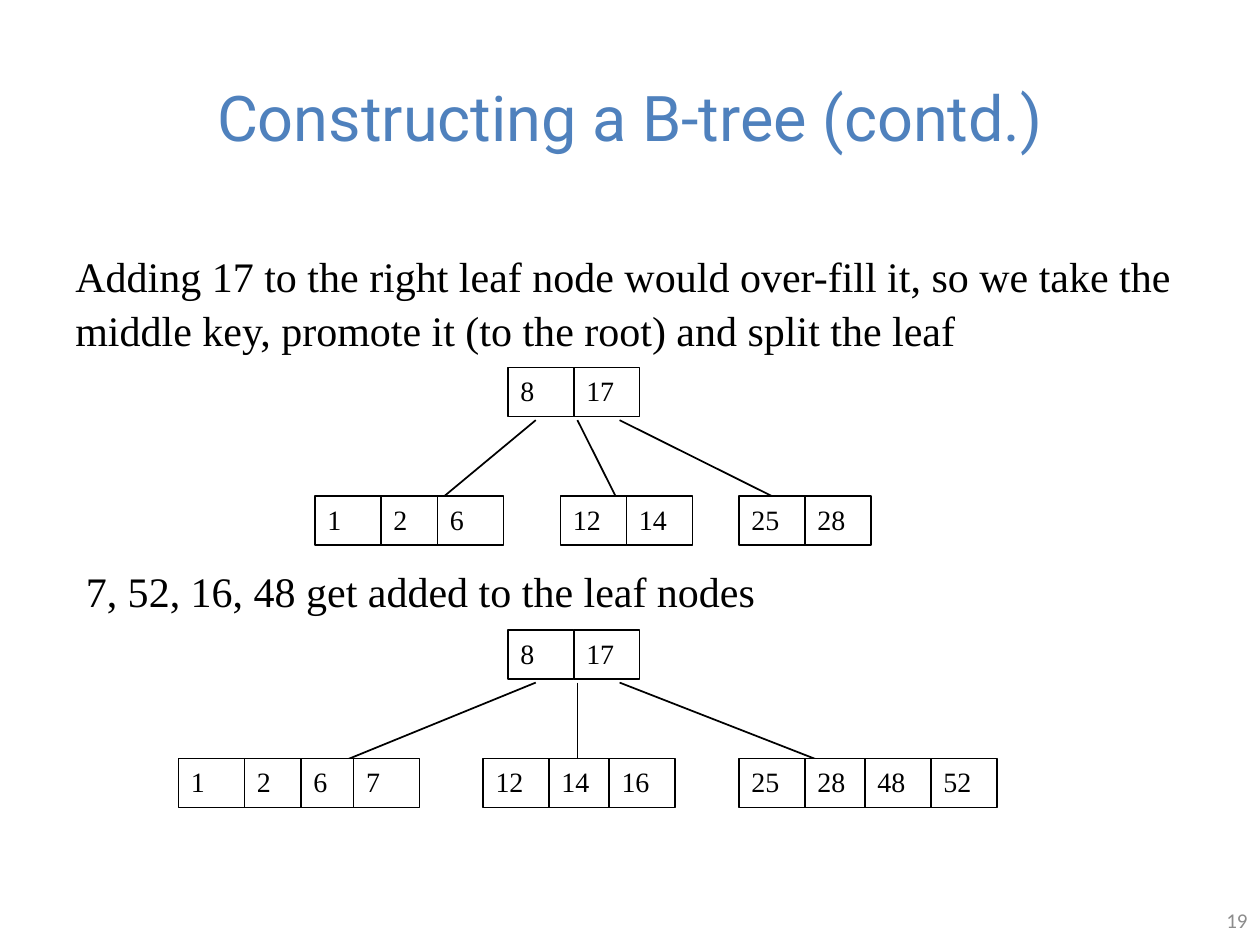
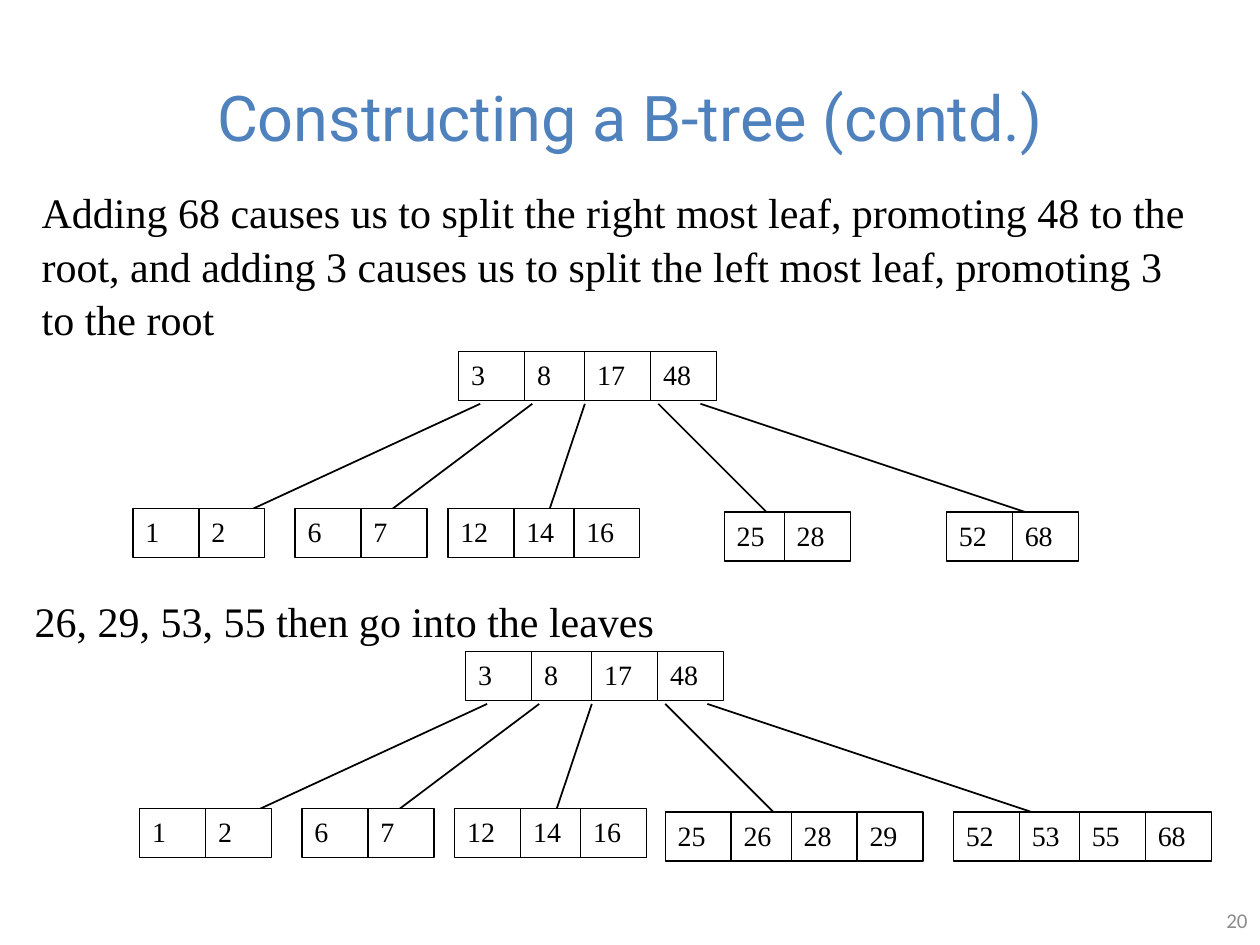
from dataclasses import dataclass, replace

from lxml import etree
from pptx import Presentation
from pptx.dml.color import RGBColor
from pptx.enum.shapes import MSO_CONNECTOR, MSO_SHAPE
from pptx.enum.text import MSO_ANCHOR, PP_ALIGN
from pptx.oxml.ns import qn
from pptx.slide import Slide
from pptx.util import Cm, Pt

RECT = MSO_SHAPE.RECTANGLE
LINE = MSO_CONNECTOR.STRAIGHT
LEFT, MID, RIGHT = PP_ALIGN.LEFT, PP_ALIGN.CENTER, PP_ALIGN.RIGHT
TOP, HALF = MSO_ANCHOR.TOP, MSO_ANCHOR.MIDDLE
TITLE_ONLY = 5


@dataclass(frozen=True)
class Theme:
    ink: str = "000000"
    paper: str = "FFFFFF"
    blue: str = "4F81BD"
    gray: str = "8C8C8C"
    serif: str = "Times New Roman"
    head: str = "Roboto"
    sans: str = "Calibri"
    title: float = 36
    body: float = 24
    key: float = 16
    foot: float = 12
    edge: float = 1
    rim: float = 0.75


THEME = Theme()
CELL_W, CELL_H = 1.33, 0.99
WIDE, NEAR, SLIM, TIGHT = 1.33, 1.21, 1.14, 1.06


@dataclass(frozen=True)
class Node:
    left: float
    top: float
    keys: str
    steps: tuple[float, ...] = (WIDE,)


@dataclass(frozen=True)
class Edge:
    start: float
    end: float
    top: float
    base: float


@dataclass(frozen=True)
class Tree:
    nodes: tuple[Node, ...]
    edges: tuple[Edge, ...]
    dx: float = 0
    dy: float = 0


@dataclass(frozen=True)
class Note:
    left: float
    top: float
    width: float
    height: float
    text: str


@dataclass(frozen=True)
class Page:
    number: int
    notes: tuple[Note, ...]
    trees: tuple[Tree, ...]


def write(shape, text: str, *, size: float, font: str = THEME.serif,
          color: str = THEME.ink, align=LEFT, anchor=TOP,
          space: float | None = None) -> None:
    frame = shape.text_frame
    frame.word_wrap = True
    frame.vertical_anchor = anchor
    para = frame.paragraphs[0]
    para.alignment = align
    para.line_spacing = space
    run = para.add_run()
    run.text = text
    run.font.size = Pt(size)
    run.font.name = font
    run.font.color.rgb = RGBColor.from_string(color)


def stroke(line, width: float) -> None:
    line.color.rgb = RGBColor.from_string(THEME.ink)
    line.width = Pt(width)


def draw_edge(slide: Slide, edge: Edge, dx: float, dy: float) -> None:
    link = slide.shapes.add_connector(
        LINE, Cm(edge.start + dx), Cm(edge.top + dy),
        Cm(edge.end + dx), Cm(edge.base + dy))
    stroke(link.line, THEME.edge)
    etree.SubElement(link._element.spPr, qn("a:effectLst"))


def draw_node(slide: Slide, node: Node, dx: float, dy: float) -> None:
    left = node.left + dx
    for key, step in zip(node.keys.split(), (*node.steps, 0)):
        cell = slide.shapes.add_shape(
            RECT, Cm(left), Cm(node.top + dy), Cm(CELL_W), Cm(CELL_H))
        cell.shadow.inherit = False
        cell.fill.solid()
        cell.fill.fore_color.rgb = RGBColor.from_string(THEME.paper)
        stroke(cell.line, THEME.rim)
        write(cell, key, size=THEME.key)
        left += step


def draw_tree(slide: Slide, tree: Tree) -> None:
    for edge in tree.edges:
        draw_edge(slide, edge, tree.dx, tree.dy)
    for node in tree.nodes:
        draw_node(slide, node, tree.dx, tree.dy)


def add_box(slide: Slide, left: float, top: float, width: float, height: float):
    return slide.shapes.add_textbox(Cm(left), Cm(top), Cm(width), Cm(height))


def draw_page(deck, page: Page) -> None:
    slide = deck.slides.add_slide(deck.slide_layouts[TITLE_ONLY])
    title = slide.shapes.title
    title.left, title.top = Cm(1.27), Cm(0.76)
    title.width, title.height = Cm(22.86), Cm(3.18)
    write(title, "Constructing a B-tree (contd.)", size=THEME.title,
          font=THEME.head, color=THEME.blue, align=MID, anchor=HALF)
    for tree in page.trees:
        draw_tree(slide, tree)
    for note in page.notes:
        box = add_box(slide, note.left, note.top, note.width, note.height)
        write(box, note.text, size=THEME.body, space=1.06)
    foot = add_box(slide, 19.48, 18.03, 5.92, 1.02)
    write(foot, str(page.number), size=THEME.foot, font=THEME.sans,
          color=THEME.gray, align=RIGHT, anchor=HALF)


ROOT = Node(10.24, 7.41, "8 17")
SPLIT = Tree(
    (ROOT,
     Node(6.35, 10, "1 2 6", (WIDE, SLIM)),
     Node(11.3, 10, "12 14"),
     Node(14.9, 10, "25 28")),
    (Edge(10.8, 8.26, 8.47, 10.58),
     Edge(11.64, 12.7, 8.47, 10.58),
     Edge(12.49, 16.3, 8.47, 10.37)))
FILLED = Tree(
    (ROOT,
     Node(3.6, 10, "1 2 6 7", (WIDE, SLIM, TIGHT)),
     Node(9.74, 10, "12 14 16", (WIDE, NEAR)),
     Node(14.9, 10, "25 28 48 52", (WIDE, NEAR, WIDE))),
    (Edge(10.8, 6.14, 8.47, 10.37),
     Edge(11.64, 11.64, 8.47, 10.58),
     Edge(12.49, 17.36, 8.47, 10.37)),
    dy=5.29)

STEM = (
    Node(9.25, 7.09, "3 8 17 48", (WIDE, NEAR, WIDE)),
    Node(2.68, 10.25, "1 2"),
    Node(5.95, 10.25, "6 7"),
    Node(9.03, 10.25, "12 14 16", (WIDE, NEAR)))
SPAN = ((9.68, 4.18), (10.73, 7.35), (11.79, 10.94), (13.27, 15.81), (14.12, 21.74))
GROWN = Tree(
    (*STEM,
     Node(14.6, 10.32, "25 28", (NEAR,)),
     Node(19.08, 10.32, "52 68")),
    tuple(Edge(start, end, 8.14, 10.68) for start, end in SPAN))
FULL = replace(
    GROWN,
    nodes=(*STEM,
           Node(13.27, 10.32, "25 26 28 29", (WIDE, NEAR, WIDE)),
           Node(19.08, 10.32, "52 53 55 68", (WIDE, NEAR, WIDE))),
    dx=0.14, dy=6.05)

PAGES = (
    Page(19,
         (Note(1.27, 4.87, 23.28, 2.29,
               "Adding 17 to the right leaf node would over-fill it, so we take "
               "the middle key, promote it (to the root) and split the leaf"),
          Note(1.48, 11.22, 22.86, 1.27, "7, 52, 16, 48 get added to the leaf nodes")),
         (SPLIT, FILLED)),
    Page(20,
         (Note(0.59, 3.58, 23.7, 3.33,
               "Adding 68 causes us to split the right most leaf, promoting 48 to "
               "the root, and adding 3 causes us to split the left most leaf, "
               "promoting 3 to the root"),
          Note(0.45, 11.82, 23.7, 1.27, "26, 29, 53, 55 then go into the leaves")),
         (GROWN, FULL)),
)


def main() -> None:
    deck = Presentation()
    deck.slide_width, deck.slide_height = Cm(25.4), Cm(19.05)
    for page in PAGES:
        draw_page(deck, page)
    deck.save("out.pptx")


if __name__ == "__main__":
    main()
